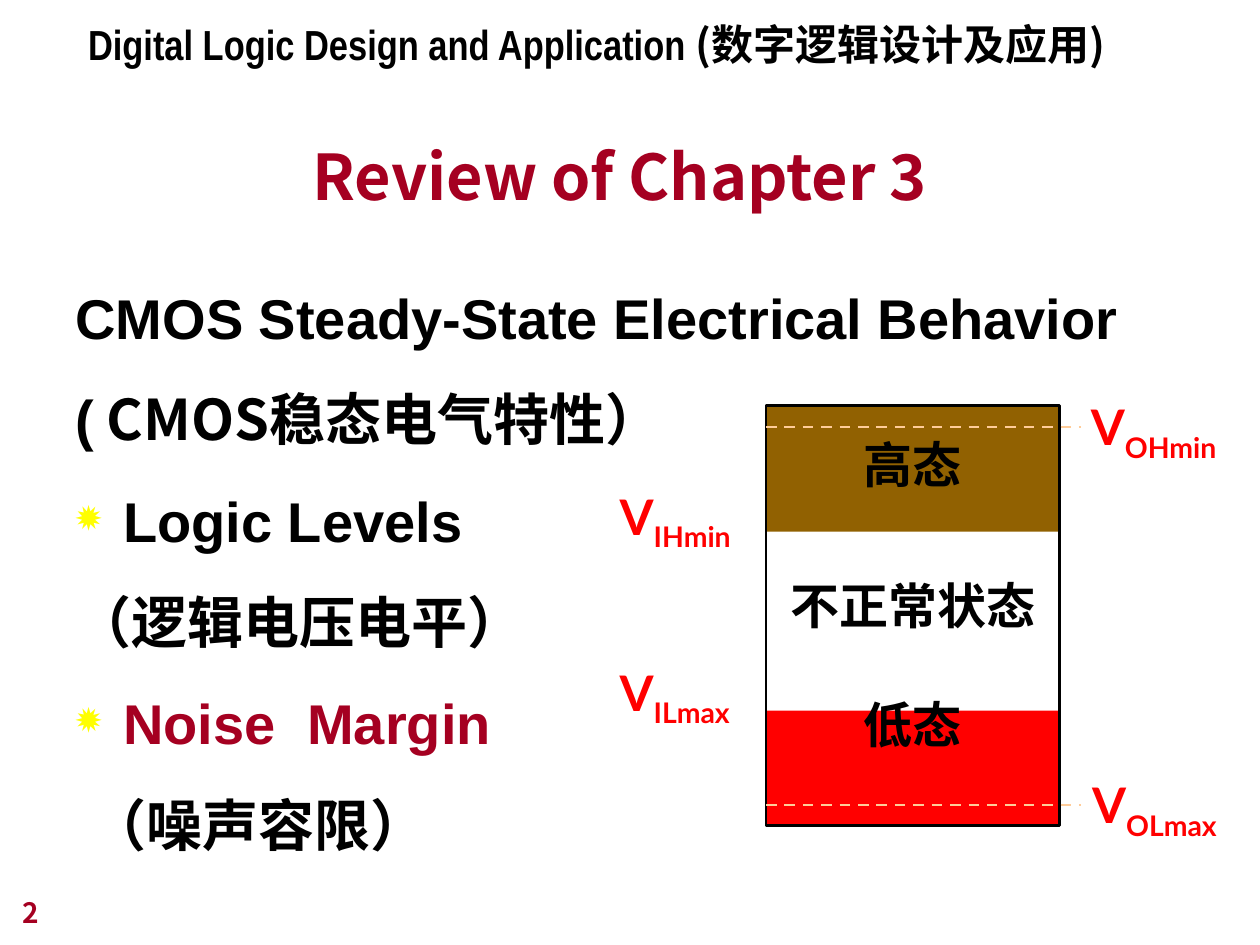
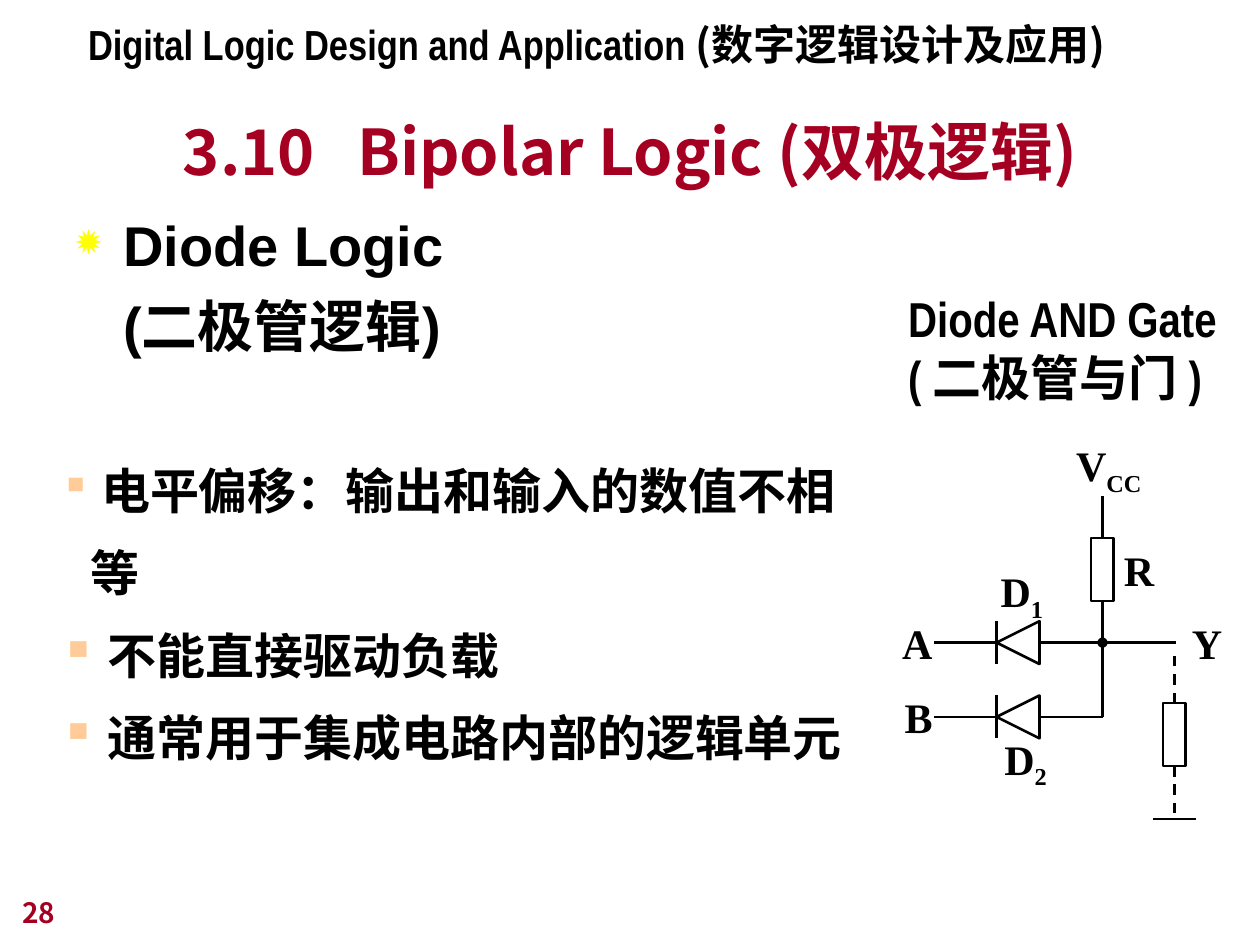
from lxml.etree import SubElement
from pptx import Presentation
from pptx.dml.color import RGBColor
from pptx.enum.dml import MSO_LINE
from pptx.enum.shapes import MSO_CONNECTOR, MSO_SHAPE
from pptx.enum.text import MSO_ANCHOR, MSO_AUTO_SIZE, PP_ALIGN
from pptx.oxml.ns import qn
from pptx.util import Inches, Pt

BLACK = RGBColor(0x00, 0x00, 0x00)
CRIMSON = RGBColor(0xA5, 0x00, 0x21)
RED = RGBColor(0xFF, 0x00, 0x00)
BROWN = RGBColor(0x91, 0x61, 0x01)
PEACH = RGBColor(0xFF, 0xCC, 0x99)
CJK = "Noto Sans CJK JP"


def style(name, size, color=BLACK):
    return {"name": name, "size": Pt(size), "bold": True, "color": color}


TITLE = style(CJK, 36, CRIMSON)
PAGE = style(CJK, 16, CRIMSON)
HEADER = style("Arial Narrow", 24)
CAPTION = style("Arial Narrow", 28)
BODY = style("Arial", 32)
VOLTAGE = style("Lato", 28, RED)
CIRCUIT = style("Times New Roman", 24)
NOTE = style("Times New Roman", 28)

STAR = ("✹", "FFFF00", 80)
SQUARE = ("▪", "FFCC99", 100)
CENTER = {"alignment": PP_ALIGN.CENTER}


def add_run(p, text, fmt, **xml):
    """Add a run; xml holds rPr attributes such as baseline or spc."""
    r = p.add_run()
    r.text = text
    for key, value in fmt.items():
        if key == "color":
            r.font.color.rgb = value
        else:
            setattr(r.font, key, value)
    rPr = r._r.get_or_add_rPr()
    for key, value in xml.items():
        rPr.set(key, str(value))
    SubElement(rPr, qn("a:ea")).set("typeface", CJK)


def set_indent(p, left, first, bullet=None):
    pPr = p._p.get_or_add_pPr()
    pPr.set("marL", str(Inches(left)))
    pPr.set("indent", str(Inches(first)))
    if bullet:
        char, color, percent = bullet
        clr = SubElement(pPr, qn("a:buClr"))
        SubElement(clr, qn("a:srgbClr")).set("val", color)
        SubElement(pPr, qn("a:buSzPct")).set("val", str(percent * 1000))
        SubElement(pPr, qn("a:buChar")).set("char", char)


def next_paragraph(tf, **settings):
    """Return the empty first paragraph, or a new one, with settings applied."""
    p = tf.paragraphs[0]
    if p.runs:
        p = tf.add_paragraph()
    for key, value in settings.items():
        setattr(p, key, value)
    return p


def add_box(slide, at, wrap=True, anchor=MSO_ANCHOR.TOP):
    tf = slide.shapes.add_textbox(*map(Inches, at)).text_frame
    tf.word_wrap = wrap
    tf.vertical_anchor = anchor
    return tf


def add_body(slide, at, items, spacing):
    """items: (bullet, first-line indent, runs)."""
    tf = add_box(slide, at)
    for i, (bullet, first, runs) in enumerate(items):
        p = next_paragraph(tf, line_spacing=spacing)
        if i:
            p.space_before = Pt(8)
        set_indent(p, 0.38, first, bullet)
        for text, fmt, *gap in runs:
            add_run(p, text, fmt, **(gap[0] if gap else {}))


def add_symbol(slide, at, letter, sub, fmt, **settings):
    """Label with an optional subscript."""
    p = next_paragraph(add_box(slide, at, wrap=False), **settings)
    add_run(p, letter, fmt)
    if sub:
        add_run(p, sub, fmt, baseline=-25000)


def add_preset(slide, kind, at, fill=None, line=None):
    sp = slide.shapes.add_shape(kind, *map(Inches, at))
    sp.shadow.inherit = False
    if fill is None:
        sp.fill.background()
    else:
        sp.fill.solid()
        sp.fill.fore_color.rgb = fill
    if line is None:
        sp.line.fill.background()
    else:
        sp.line.color.rgb = line
        sp.line.width = Pt(1.5)
    return sp


def add_wire(slide, x1, y1, x2, y2, color=BLACK, dash=False, dot=False):
    wire = slide.shapes.add_connector(
        MSO_CONNECTOR.STRAIGHT, *map(Inches, (x1, y1, x2, y2)))
    wire.line.color.rgb = color
    wire.line.width = Pt(1.5)
    if dash:
        wire.line.dash_style = MSO_LINE.DASH
    if dot:
        SubElement(wire.line._get_or_add_ln(), qn("a:headEnd")).set("type", "oval")
    SubElement(wire._element.spPr, qn("a:effectLst"))
    return wire


def add_resistor(slide, x, top, wire_top, wire_bottom, dash=False):
    """Vertical resistor centred on x, with a wire above and below."""
    body = add_preset(slide, MSO_SHAPE.RECTANGLE, (x - 0.09, top, 0.18, 0.5), line=BLACK)
    add_wire(slide, x, top, x, wire_top, dash=dash).begin_connect(body, 0)
    add_wire(slide, x, top + 0.5, x, wire_bottom, dash=dash).begin_connect(body, 2)


def add_diode(slide, y):
    """Diode pointing left, with its two wires."""
    top = y - 0.17
    sp = add_preset(slide, MSO_SHAPE.ISOSCELES_TRIANGLE, (7.91, top, 0.34, 0.34), line=BLACK)
    sp.rotation = 270
    add_wire(slide, 7.91, top, 7.91, top + 0.34)
    add_wire(slide, 7.91, y, 7.41, y)
    add_wire(slide, 8.25, y, 8.75, y)


def new_slide(prs, title, title_at, page):
    slide = prs.slides.add_slide(prs.slide_layouts[5])
    sp = slide.shapes.title
    sp.left, sp.top, sp.width, sp.height = map(Inches, title_at)
    tf = sp.text_frame
    tf.auto_size = MSO_AUTO_SIZE.NONE
    tf.vertical_anchor = MSO_ANCHOR.BOTTOM
    p = next_paragraph(tf, **CENTER)
    for text, xml in title:
        add_run(p, text, TITLE, **xml)

    p = next_paragraph(add_box(slide, (0.6, 0.1, 8.41, 0.5)))
    add_run(p, "Digital Logic Design and Application ", HEADER)
    add_run(p, "(数字逻辑设计及应用)", {**HEADER, "name": CJK})
    tf = add_box(slide, (0.08, 6.92, 2.08, 0.5), anchor=MSO_ANCHOR.BOTTOM)
    add_run(next_paragraph(tf), page, PAGE)
    return slide


def add_level_diagram(slide):
    left, width = 6.08, 2.33
    add_preset(slide, MSO_SHAPE.RECTANGLE, (left, 5.64, width, 0.92), fill=RED)
    add_preset(slide, MSO_SHAPE.RECTANGLE, (left, 3.22, width, 1), fill=BROWN)
    frame = add_preset(slide, MSO_SHAPE.RECTANGLE, (left, 3.22, width, 3.33), line=BLACK)
    tf = frame.text_frame
    tf.word_wrap = False
    tf.vertical_anchor = MSO_ANCHOR.TOP
    tf.margin_top = Inches(0.23)
    for state, before in (("高态", 0), ("不正常状态", 47), ("低态", 34)):
        p = next_paragraph(tf, space_before=Pt(before), **CENTER)
        add_run(p, state, CAPTION)

    for y in (3.39, 6.39):
        add_wire(slide, left, y, 8.58, y, PEACH, dash=True)
    for x, y, w, sub in ((8.56, 3.1, 1.24, "OHmin"), (4.82, 3.81, 1.15, "IHmin"),
                         (4.82, 5.21, 1.15, "ILmax"), (8.57, 6.1, 1.24, "OLmax")):
        add_symbol(slide, (x, y, w, 0.63), "V", sub, VOLTAGE)


def add_and_gate(slide):
    node, load, y_a, y_b = 8.75, 9.32, 5.1, 5.69
    add_resistor(slide, node, 4.27, 3.94, y_b)
    add_resistor(slide, load, 5.58, 5.17, 6.5, dash=True)
    add_wire(slide, load - 0.17, 6.5, load + 0.17, 6.5)
    for y in (y_a, y_b):
        add_diode(slide, y)
    add_wire(slide, node, y_a, 9.33, y_a, dot=True)
    for x, y, w, letter, sub in (
            (7.06, 4.85, 0.44, "A", ""), (7.08, 5.44, 0.42, "B", ""),
            (7.84, 4.44, 0.54, "D", "1"), (7.87, 5.77, 0.54, "D", "2"),
            (8.82, 4.27, 0.44, "R", ""), (8.44, 3.44, 0.72, "V", "CC"),
            (9.36, 4.85, 0.44, "Y", "")):
        add_symbol(slide, (x, y, w, 0.56 if sub else 0.5), letter, sub, CIRCUIT, **CENTER)


def build_review(prs):
    slide = new_slide(prs, [("Review of Chapter 3", {})], (0.67, 0.91, 8.5, 0.83), "2")
    body_cjk = {**BODY, "name": CJK}
    margin = {**BODY, "color": CRIMSON}
    add_body(slide, (0.5, 2.04, 9, 5.33), [
        (None, -0.38, [("CMOS Steady-State Electrical Behavior", BODY)]),
        (None, -0.38, [("(", BODY), (" CMOS稳态电气特性）", body_cjk)]),
        (STAR, -0.38, [("Logic Levels", BODY)]),
        (None, -0.38, [("（逻辑电压电平）", BODY)]),
        (STAR, -0.38, [("Noise", margin), (" ", margin, {"spc": 900}), ("Margin", margin)]),
        (None, -0.26, [("（噪声容限）", BODY)]),
    ], 1.3)
    add_level_diagram(slide)


def build_bipolar(prs):
    title = [("3.10", {}), (" ", {"spc": 1600}), ("Bipolar Logic (双极逻辑)", {})]
    slide = new_slide(prs, title, (0.75, 0.71, 8.5, 0.83), "28")
    add_body(slide, (0.5, 1.62, 9, 5.33), [
        (STAR, -0.38, [("Diode Logic", BODY)]),
        (None, 0, [("(二极管逻辑)", BODY)]),
    ], 1.0)
    add_and_gate(slide)

    tf = add_box(slide, (0.38, 3.42, 6.64, 2.06))
    for lead, text in ((CIRCUIT, "电平偏移：输出和输入的数值不相等"),
                       (NOTE, "不能直接驱动负载"),
                       (NOTE, "通常用于集成电路内部的逻辑单元")):
        p = next_paragraph(tf, line_spacing=1.4)
        set_indent(p, 0.24, -0.24, SQUARE)
        add_run(p, " ", lead)
        add_run(p, text, NOTE)

    tf = add_box(slide, (7.11, 2.24, 2.71, 1.04))
    for text in ("Diode AND Gate", "( 二极管与门 )"):
        add_run(next_paragraph(tf), text, CAPTION)


def main():
    prs = Presentation()
    prs.slide_width, prs.slide_height = Inches(10), Inches(7.5)
    build_review(prs)
    build_bipolar(prs)
    prs.save("out.pptx")


if __name__ == "__main__":
    main()
